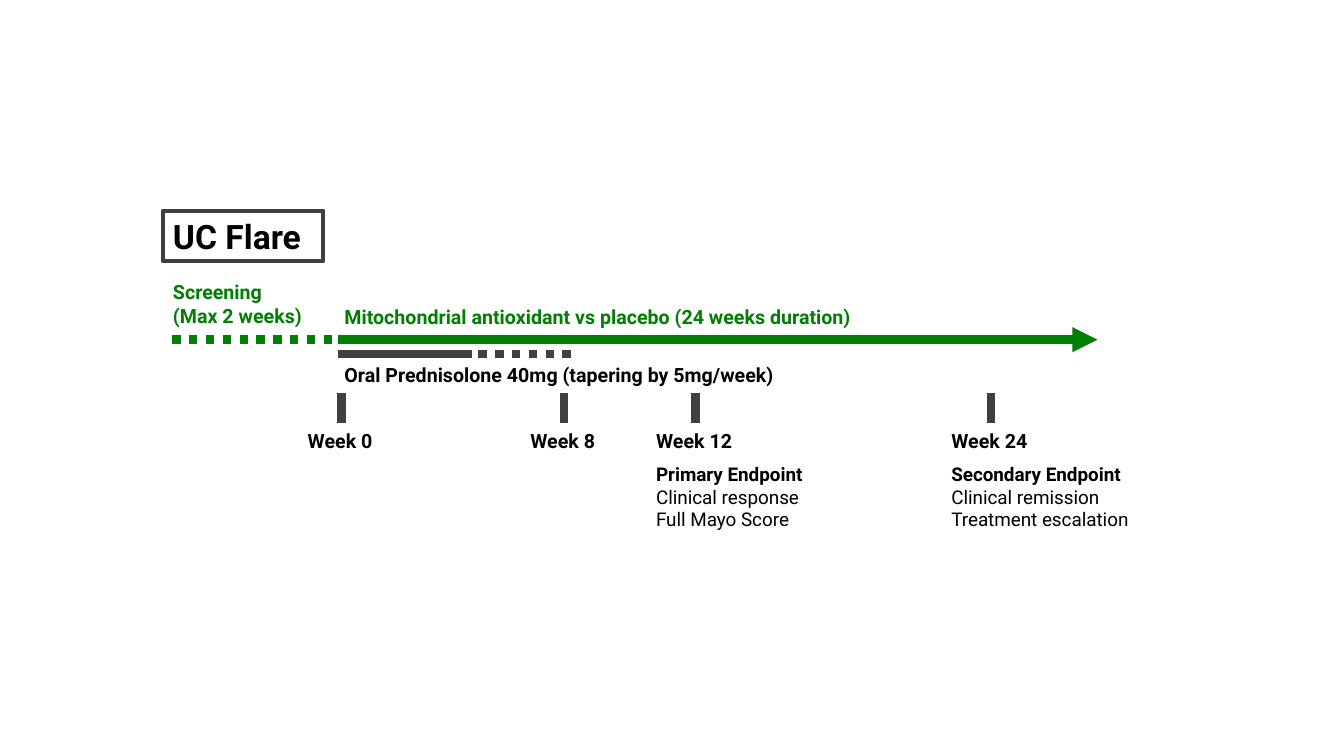
from lxml import etree
from pptx import Presentation
from pptx.dml.color import RGBColor
from pptx.enum.dml import MSO_LINE
from pptx.enum.shapes import MSO_CONNECTOR, MSO_SHAPE
from pptx.enum.text import MSO_ANCHOR, MSO_AUTO_SIZE, PP_ALIGN
from pptx.oxml.ns import qn
from pptx.util import Cm, Pt

STRAIGHT = MSO_CONNECTOR.STRAIGHT
RECTANGLE = MSO_SHAPE.RECTANGLE
DOTTED = MSO_LINE.ROUND_DOT
FIT_SHAPE = MSO_AUTO_SIZE.SHAPE_TO_FIT_TEXT
TOP = MSO_ANCHOR.TOP
LEFT = PP_ALIGN.LEFT

FONT = "Roboto"
GREEN = "008000"
GREY = "404040"
BLACK = "000000"

MILESTONES = [
    (8.61, 2.21, "Week 0", 0, []),
    (14.22, 2.21, "Week 8", 0, []),
    (17.53, 2.49, "Week 12", 4.52,
     ["Primary Endpoint", "Clinical response", "Full Mayo Score"]),
    (24.97, 2.49, "Week 24", 5.18,
     ["Secondary Endpoint", "Clinical remission", "Treatment escalation"]),
]


def color(value):
    """Turn a hex string into a colour."""
    return RGBColor.from_string(value)


def write_text(shape, lines, size, text_color, wrap=False, bold_lines=None):
    """Fill a shape with left-aligned lines, the first bold_lines of them bold."""
    text_frame = shape.text_frame
    text_frame.text = "\n".join(lines)
    text_frame.word_wrap = wrap
    text_frame.auto_size = FIT_SHAPE
    text_frame.vertical_anchor = TOP
    for index, paragraph in enumerate(text_frame.paragraphs):
        paragraph.alignment = LEFT
        font = paragraph.runs[0].font
        font.name = FONT
        font.size = Pt(size)
        font.bold = bold_lines is None or index < bold_lines
        font.color.rgb = color(text_color)


def add_label(slide, box, lines, size=14, text_color=BLACK, **options):
    """Add a text box at (left, top, width, height)."""
    label = slide.shapes.add_textbox(*map(Cm, box))
    write_text(label, lines, size, text_color, **options)


def add_line(slide, start, end, line_color, dotted=False, arrow=False):
    """Add a thick straight line, dotted or ending in an arrowhead if asked."""
    connector = slide.shapes.add_connector(STRAIGHT, *map(Cm, start + end))
    connector.line.color.rgb = color(line_color)
    connector.line.width = Pt(6)
    if dotted:
        connector.line.dash_style = DOTTED
    if arrow:
        line = connector.line._get_or_add_ln()
        etree.SubElement(line, qn("a:tailEnd"), type="triangle")
    etree.SubElement(connector._element.spPr, qn("a:effectLst"))


def add_heading(slide, box):
    """Add the framed study name."""
    frame = slide.shapes.add_shape(RECTANGLE, *map(Cm, box))
    frame.shadow.inherit = False
    frame.fill.background()
    frame.line.color.rgb = color(GREY)
    frame.line.width = Pt(3)
    write_text(frame, ["UC Flare"], 24, BLACK)


def add_screening(slide, box):
    """Add the screening caption above its dotted line."""
    left, top, width, height = box
    add_label(slide, (left, top, width, 1.44),
              ["Screening", "(Max 2 weeks)"], text_color=GREEN)
    bottom = top + height
    add_line(slide, (left + 0.23, bottom), (left + width, bottom), GREEN, dotted=True)


def add_treatment(slide, box):
    """Add the trial arrow and the steroid bar with their captions."""
    left, top, width, height = box
    arrow_y, steroid_y = top + 0.99, top + 1.35
    add_line(slide, (left, arrow_y), (left + width, arrow_y), GREEN, arrow=True)
    add_line(slide, (left, steroid_y), (left + 3.38, steroid_y), GREY)
    add_line(slide, (left + 3.12, steroid_y), (left + 5.97, steroid_y), GREY, dotted=True)
    add_label(slide, (left - 0.08, top, 15.32, 0.86),
              ["Mitochondrial antioxidant vs placebo (24 weeks duration)"],
              text_color=GREEN, wrap=True)
    add_label(slide, (left - 0.08, top + height - 0.86, 16.94, 0.86),
              ["Oral Prednisolone 40mg (tapering by 5mg/week)"], wrap=True)


def add_milestone(slide, box, week, endpoint_width, endpoint):
    """Add a tick centred over its week label, with any endpoint below."""
    left, top, width, height = box
    middle = left + width / 2
    add_line(slide, (middle, top), (middle, top + 0.74), GREY)
    add_label(slide, (left, top + 0.78, width, 0.86), [week])
    if endpoint:
        add_label(slide, (left, top + height - 1.98, endpoint_width, 1.98),
                  endpoint, size=13.5, bold_lines=1)


def main():
    """Build the trial timeline slide."""
    presentation = Presentation()
    presentation.slide_width = Cm(33.87)
    presentation.slide_height = Cm(19.05)
    slide = presentation.slides.add_slide(presentation.slide_layouts[6])
    add_treatment(slide, (8.51, 7.57, 19.15, 2.31))
    add_heading(slide, (4.11, 5.31, 4.04, 1.27))
    add_screening(slide, (4.11, 6.93, 4.25, 1.63))
    for middle, width, week, endpoint_width, endpoint in MILESTONES:
        box = (middle - width / 2, 9.91, width, 3.6)
        add_milestone(slide, box, week, endpoint_width, endpoint)
    presentation.save("out.pptx")


if __name__ == "__main__":
    main()
